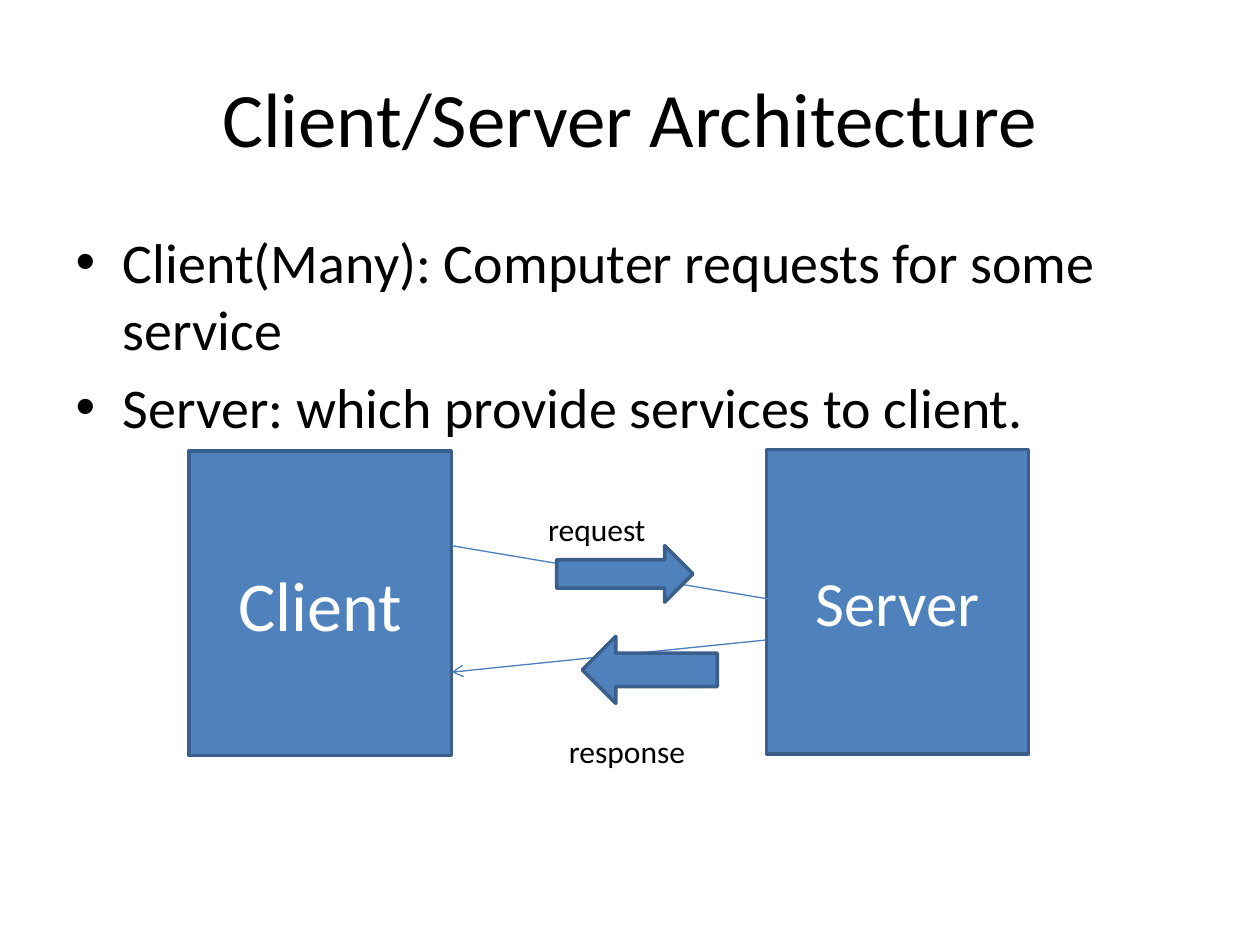
"""Build the client/server architecture slide."""
from lxml import etree
from pptx import Presentation
from pptx.dml.color import RGBColor
from pptx.enum.shapes import MSO_CONNECTOR, MSO_SHAPE
from pptx.enum.text import MSO_ANCHOR, MSO_AUTO_SIZE, PP_ALIGN
from pptx.oxml.ns import qn
from pptx.util import Cm, Pt

BLUE = RGBColor(0x4F, 0x81, 0xBD)
EDGE = RGBColor(0x3A, 0x5F, 0x8C)
LINK = RGBColor(0x4B, 0x7E, 0xBC)
BLACK = RGBColor(0, 0, 0)
WHITE = RGBColor(0xFF, 0xFF, 0xFF)


def format_text(tf, size, color, align):
    for p in tf.paragraphs:
        p.alignment = align
        for r in p.runs:
            r.font.name = "Calibri"
            r.font.size = Pt(size)
            r.font.color.rgb = color


def add_block(kind, x, y, w, h):
    sp = s.shapes.add_shape(kind, Cm(x), Cm(y), Cm(w), Cm(h))
    sp.shadow.inherit = False
    sp.fill.solid()
    sp.fill.fore_color.rgb = BLUE
    sp.line.color.rgb = EDGE
    sp.line.width = Pt(2)
    return sp


prs = Presentation()
prs.slide_width, prs.slide_height = Cm(25.4), Cm(19.05)
s = prs.slides.add_slide(prs.slide_layouts[1])

title, body = s.placeholders
title.left, title.top, title.width, title.height = Cm(1.27), Cm(0.76), Cm(22.86), Cm(3.18)
title.text_frame.text = "Client/Server Architecture"
title.text_frame.vertical_anchor = MSO_ANCHOR.MIDDLE
format_text(title.text_frame, 44, BLACK, PP_ALIGN.CENTER)

body.left, body.top, body.width, body.height = Cm(1.27), Cm(4.45), Cm(22.86), Cm(12.57)
body.text_frame.text = (
    "Client(Many): Computer requests for some service\n"
    "Server: which provide services to client."
)
format_text(body.text_frame, 32, BLACK, PP_ALIGN.LEFT)

for name, x, y, size in (("Client", 3.81, 9.09, 40), ("Server", 15.45, 9.06, 36)):
    sp = add_block(MSO_SHAPE.RECTANGLE, x, y, 5.29, 6.14)
    sp.text_frame.text = name
    sp.text_frame.vertical_anchor = MSO_ANCHOR.MIDDLE
    format_text(sp.text_frame, size, WHITE, PP_ALIGN.CENTER)

for x1, y1, x2, y2 in ((9.1, 11, 15.88, 12.14), (15.45, 12.9, 9.1, 13.55)):
    link = s.shapes.add_connector(MSO_CONNECTOR.STRAIGHT, Cm(x1), Cm(y1), Cm(x2), Cm(y2))
    link.line.color.rgb = LINK
    link.line.width = Pt(0.75)
    etree.SubElement(link.line._get_or_add_ln(), qn("a:tailEnd"), type="arrow")
    etree.SubElement(link._element.spPr, qn("a:effectLst"))

add_block(MSO_SHAPE.RIGHT_ARROW, 11.22, 11, 2.75, 1.14)
add_block(MSO_SHAPE.LEFT_ARROW, 11.74, 12.83, 2.72, 1.35)

for label, x, y, w in (("request", 10.8, 10.16, 2.75), ("response", 11.22, 14.63, 3.23)):
    tf = s.shapes.add_textbox(Cm(x), Cm(y), Cm(w), Cm(1.02)).text_frame
    tf.word_wrap = True
    tf.auto_size = MSO_AUTO_SIZE.SHAPE_TO_FIT_TEXT
    tf.text = label
    format_text(tf, 18, BLACK, PP_ALIGN.LEFT)

prs.save("out.pptx")
